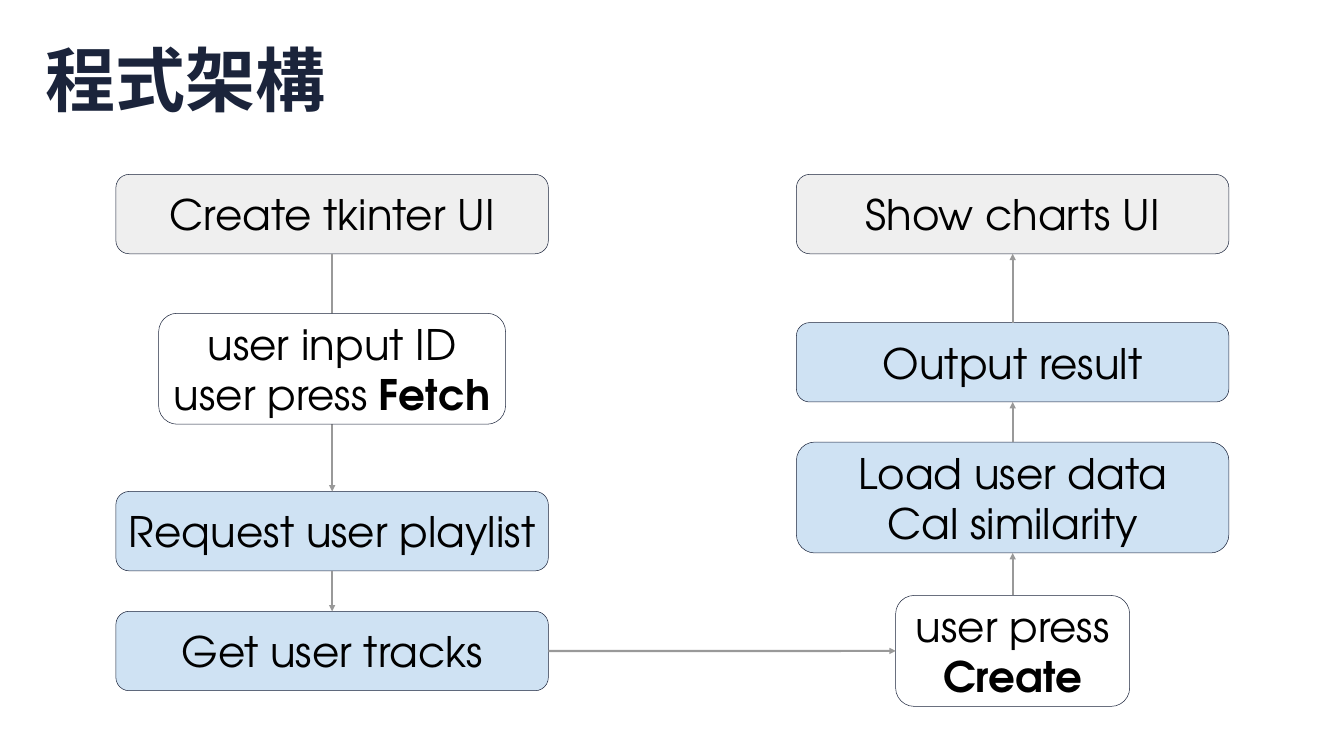
from lxml.etree import SubElement
from pptx import Presentation
from pptx.dml.color import RGBColor
from pptx.enum.shapes import MSO_CONNECTOR, MSO_SHAPE
from pptx.enum.text import MSO_ANCHOR, MSO_AUTO_SIZE, PP_ALIGN
from pptx.oxml.ns import qn
from pptx.util import Cm, Pt

COLORS = {
    "navy": "1B243B",
    "black": "000000",
    "arrow": "999999",
    "screen": "EFEFEF",
    "step": "CFE2F3",
    "action": "FFFFFF",
}
FONT = "TeX Gyre Adventor"
COLUMN_WIDTH = 21.79
SINGLE, DOUBLE = 4, 5.59
TOP, LEFT, BOTTOM, RIGHT = range(4)


def color(name):
    return RGBColor.from_string(COLORS[name])


def add_span(para, text, size=60, bold=False, fill="black"):
    span = para.add_run()
    span.text = text
    span.font.name = FONT
    span.font.size = Pt(size)
    span.font.bold = bold
    span.font.color.rgb = color(fill)


def set_margins(frame, side, end):
    frame.margin_left = frame.margin_right = Cm(side)
    frame.margin_top = frame.margin_bottom = Cm(end)


def add_title(page, text, left, top, width, height):
    title = page.shapes.title
    title.left, title.top = Cm(left), Cm(top)
    title.width, title.height = Cm(width), Cm(height)
    frame = title.text_frame
    frame.word_wrap = True
    frame.auto_size = MSO_AUTO_SIZE.NONE
    frame.vertical_anchor = MSO_ANCHOR.TOP
    set_margins(frame, 0.25, 0.13)
    para = frame.paragraphs[0]
    para.alignment = PP_ALIGN.LEFT
    para.line_spacing = 0.93
    add_span(para, text, size=100, bold=True, fill="navy")


def add_box(page, center, top, lines, fill, width=COLUMN_WIDTH, height=SINGLE):
    box = page.shapes.add_shape(
        MSO_SHAPE.ROUNDED_RECTANGLE,
        Cm(center - width / 2), Cm(top), Cm(width), Cm(height),
    )
    box.shadow.inherit = False
    box.fill.solid()
    box.fill.fore_color.rgb = color(fill)
    box.line.color.rgb = color("navy")
    box.line.width = Pt(0.75)
    frame = box.text_frame
    frame.word_wrap = True
    frame.vertical_anchor = MSO_ANCHOR.MIDDLE
    set_margins(frame, 0.25, 0.25)
    for index, (plain, strong) in enumerate(lines):
        para = frame.add_paragraph() if index else frame.paragraphs[0]
        para.alignment = PP_ALIGN.CENTER
        add_span(para, plain)
        if strong:
            add_span(para, strong, bold=True)
    return box


def add_arrow(page, source, target, start, end):
    arrow = page.shapes.add_connector(MSO_CONNECTOR.STRAIGHT, 0, 0, 0, 0)
    arrow.begin_connect(source, start)
    arrow.end_connect(target, end)
    arrow.line.color.rgb = color("arrow")
    arrow.line.width = Pt(3)
    SubElement(arrow.line._get_or_add_ln(), qn("a:tailEnd"), type="triangle")
    SubElement(arrow._element.spPr, qn("a:effectLst"))


def add_fetch_column(page, left, top):
    center = left + COLUMN_WIDTH / 2
    create = add_box(page, center, top, [("Create tkinter UI", "")], "screen")
    request = add_box(page, center, top + 15.98, [("Request user playlist", "")], "step")
    add_arrow(page, create, request, BOTTOM, TOP)
    add_box(
        page, center, top + 7, [("user input ID", ""), ("user press ", "Fetch")],
        "action", width=17.48, height=DOUBLE,
    )
    tracks = add_box(page, center, top + 22.02, [("Get user tracks", "")], "step")
    add_arrow(page, request, tracks, BOTTOM, TOP)
    return tracks


def add_result_column(page, left, top):
    center = left + COLUMN_WIDTH / 2
    press = add_box(
        page, center, top + 21.22, [("user press ", "Create")],
        "action", width=11.79, height=DOUBLE,
    )
    load = add_box(
        page, center, top + 13.49, [("Load user data", ""), ("Cal similarity", "")],
        "step", height=DOUBLE,
    )
    output = add_box(page, center, top + 7.47, [("Output result", "")], "step")
    charts = add_box(page, center, top, [("Show charts UI", "")], "screen")
    chain = [press, load, output, charts]
    for source, target in zip(chain, chain[1:]):
        add_arrow(page, source, target, TOP, BOTTOM)
    return press


def main():
    deck = Presentation()
    deck.slide_width, deck.slide_height = Cm(67.72), Cm(38.1)
    page = deck.slides.add_slide(deck.slide_layouts[5])
    add_title(page, "程式架構", 2.03, 2.11, 63.35, 4.62)
    tracks = add_fetch_column(page, 5.84, 8.79)
    press = add_result_column(page, 40.13, 8.79)
    add_arrow(page, tracks, press, RIGHT, LEFT)
    deck.save("out.pptx")


if __name__ == "__main__":
    main()
